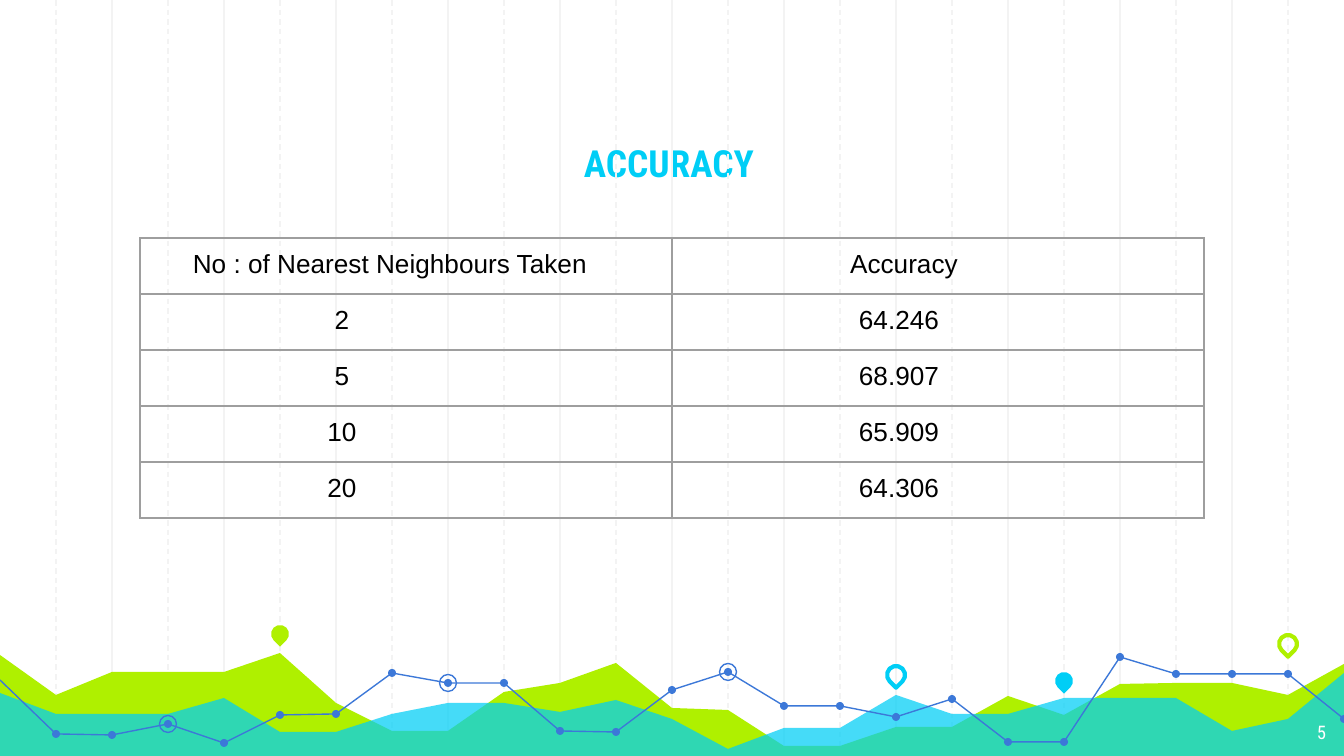
from lxml.etree import SubElement
from pptx import Presentation
from pptx.dml.color import RGBColor
from pptx.enum.dml import MSO_LINE
from pptx.enum.shapes import MSO_CONNECTOR, MSO_SHAPE
from pptx.enum.text import MSO_ANCHOR, MSO_AUTO_SIZE, PP_ALIGN
from pptx.oxml.ns import qn
from pptx.util import Pt

EMU_PER_PX = 914400 / 134.4
WIDTH, HEIGHT = 1344, 756
STEP = 56
BOTTOM = 759
MARGIN = 13

COLORS = {
    "grid": "F3F3F3",
    "green": "AFF000",
    "cyan": "00CEF6",
    "blue": "3C78D8",
    "border": "9E9E9E",
    "black": "000000",
    "white": "FFFFFF",
}

# Heights of the three series, one value per grid step
GREEN_AREA = [655, 695, 672, 672, 672, 653, 703, 731, 731, 692, 683, 663, 708,
              710, 746, 746, 727, 727, 696, 715, 684, 683, 683, 695, 664]
CYAN_AREA = [693, 714, 714, 714, 698, 732, 732, 714, 703, 703, 712, 700, 719,
             749, 728, 728, 695, 714, 714, 698, 698, 698, 731, 719, 673]
BLUE_LINE = [680, 734, 735, 724, 743, 715, 714, 673, 683, 683, 731, 732, 690,
             672, 706, 706, 717, 699, 742, 742, 657, 674, 674, 674, 719]
LINE_BREAKS = [0, 11, 20, 24]
RINGED_STEPS = [3, 8, 13]
# Step, centre height, colour, filled
PINS = [(5, 634, "green", True), (16, 675, "cyan", False),
        (19, 681, "cyan", True), (23, 644, "green", False)]

ROWS = [
    ("No : of Nearest Neighbours Taken", "Accuracy"),
    ("2", "64.246"),
    ("5", "68.907"),
    ("10", "65.909"),
    ("20", "64.306"),
]
# Right margins that shift the centred text to the left
HEADER_MARGINS = (45, 81)
VALUE_MARGINS = (141, 91)


def px(length):
    return round(length * EMU_PER_PX)


def color(name):
    return RGBColor.from_string(COLORS[name])


def set_attributes(target, values):
    for name, value in values.items():
        setattr(target, name, value)


def style_shape(shape, fill=None, line=None, weight=0.75):
    shape.shadow.inherit = False
    if fill:
        shape.fill.solid()
        shape.fill.fore_color.rgb = color(fill)
    else:
        shape.fill.background()
    if line:
        shape.line.color.rgb = color(line)
        shape.line.width = Pt(weight)
    else:
        shape.line.fill.background()


def write_text(frame, text, align, size, font, color_name, bold=False):
    paragraph = frame.paragraphs[0]
    paragraph.alignment = align
    run = paragraph.add_run()
    run.text = text
    set_attributes(run.font, {"size": Pt(size), "name": font, "bold": bold})
    run.font.color.rgb = color(color_name)


def add_grid_line(slide, x, dashed):
    connector = slide.shapes.add_connector(
        MSO_CONNECTOR.STRAIGHT, px(x), 0, px(x), px(BOTTOM))
    connector.line.color.rgb = color("grid")
    connector.line.width = Pt(0.75)
    if dashed:
        connector.line.dash_style = MSO_LINE.DASH
    SubElement(connector._element.spPr, qn("a:effectLst"))


def add_outline(slide, points, close):
    builder = slide.shapes.build_freeform(*points[0], scale=EMU_PER_PX)
    builder.add_line_segments(points[1:], close=close)
    return builder.convert_to_shape()


def add_area(slide, heights, fill, opacity=100):
    points = [(step * STEP, y) for step, y in enumerate(heights)]
    corners = [(WIDTH, BOTTOM), (0, BOTTOM)]
    area = add_outline(slide, points + corners, close=True)
    style_shape(area, fill=fill)
    if opacity < 100:
        color_element = area._element.spPr.find(qn("a:solidFill"))[0]
        SubElement(color_element, qn("a:alpha"), val=str(opacity * 1000))


def add_marker(slide, kind, step, y, size, **style):
    """Add a small shape centred on a grid step."""
    marker = slide.shapes.add_shape(
        kind, px(step * STEP - size / 2), px(y - size / 2), px(size), px(size))
    style_shape(marker, **style)
    return marker


def add_pin(slide, step, y, color_name, filled):
    style = {"fill": color_name} if filled else {"line": color_name, "weight": 2.25}
    pin = add_marker(slide, MSO_SHAPE.TEAR, step, y, 18, **style)
    pin.rotation = 135


def add_blue_series(slide):
    points = [(step * STEP, y) for step, y in enumerate(BLUE_LINE)]
    for first, last in zip(LINE_BREAKS, LINE_BREAKS[1:]):
        line = add_outline(slide, points[first:last + 1], close=False)
        style_shape(line, line="blue")
    for step, y in enumerate(BLUE_LINE[1:], start=1):
        add_marker(slide, MSO_SHAPE.OVAL, step, y, 8, fill="blue")
    for step in RINGED_STEPS:
        add_marker(slide, MSO_SHAPE.OVAL, step, BLUE_LINE[step], 17, line="blue")


def add_title(slide, text):
    title = slide.shapes.title
    set_attributes(title, {"left": px(155), "top": px(93),
                           "width": px(1028), "height": px(105)})
    frame = title.text_frame
    set_attributes(frame, {
        "vertical_anchor": MSO_ANCHOR.BOTTOM, "auto_size": MSO_AUTO_SIZE.NONE,
        "margin_left": px(MARGIN), "margin_right": px(MARGIN),
        "margin_top": px(MARGIN), "margin_bottom": px(MARGIN)})
    write_text(frame, text, PP_ALIGN.CENTER, 20, "Roboto Condensed", "cyan", True)


def add_page_number(slide, text):
    box = slide.shapes.add_textbox(px(1258), px(710), px(81), px(47))
    set_attributes(box.text_frame, {
        "word_wrap": True, "margin_left": px(MARGIN), "margin_right": px(MARGIN),
        "margin_top": px(MARGIN), "margin_bottom": px(MARGIN)})
    write_text(box.text_frame, text, PP_ALIGN.RIGHT, 10, "Roboto Condensed", "white")


def add_borders(cell):
    properties = cell._tc.get_or_add_tcPr()
    for side in ("lnL", "lnR", "lnT", "lnB"):
        border = SubElement(properties, qn(f"a:{side}"), w=str(Pt(0.75)))
        fill = SubElement(border, qn("a:solidFill"))
        SubElement(fill, qn("a:srgbClr"), val=COLORS["border"])


def add_accuracy_table(slide):
    table = slide.shapes.add_table(
        len(ROWS), 2, px(140), px(238), px(2 * 532), px(len(ROWS) * STEP)).table
    set_attributes(table, {"first_row": False, "horz_banding": False})
    for row_index, texts in enumerate(ROWS):
        right_margins = VALUE_MARGINS if row_index else HEADER_MARGINS
        for column_index, text in enumerate(texts):
            cell = table.cell(row_index, column_index)
            set_attributes(cell, {
                "margin_left": px(MARGIN),
                "margin_right": px(right_margins[column_index]),
                "margin_top": px(12), "margin_bottom": px(12)})
            add_borders(cell)
            cell.fill.background()
            write_text(cell.text_frame, text, PP_ALIGN.CENTER, 14, "Arial", "black")


def main():
    presentation = Presentation()
    set_attributes(presentation, {"slide_width": px(WIDTH),
                                  "slide_height": px(HEIGHT)})
    slide = presentation.slides.add_slide(presentation.slide_layouts[5])
    for step in range(1, WIDTH // STEP):
        add_grid_line(slide, step * STEP, dashed=step % 2 == 1)
    add_area(slide, GREEN_AREA, "green")
    add_area(slide, CYAN_AREA, "cyan", opacity=73)
    add_blue_series(slide)
    for pin in PINS:
        add_pin(slide, *pin)
    add_title(slide, "ACCURACY")
    add_page_number(slide, "5")
    add_accuracy_table(slide)
    presentation.save("out.pptx")


if __name__ == "__main__":
    main()
